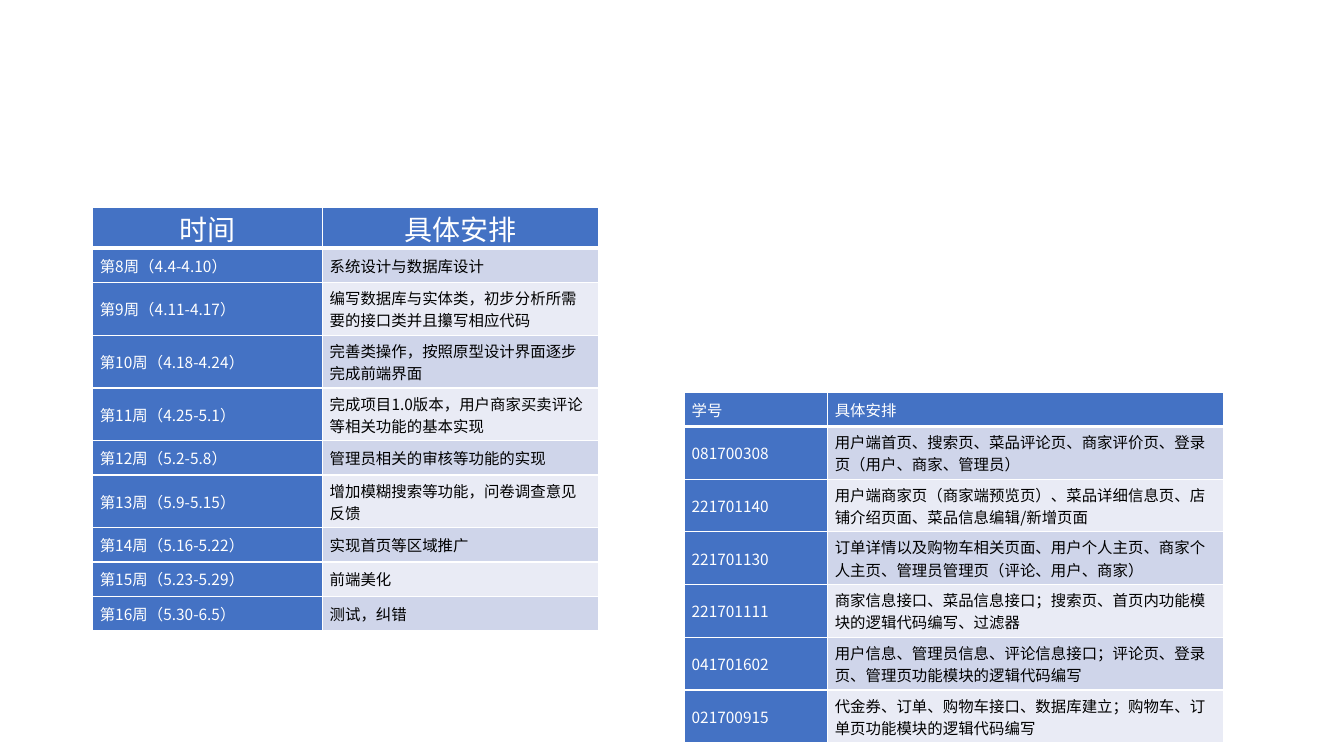
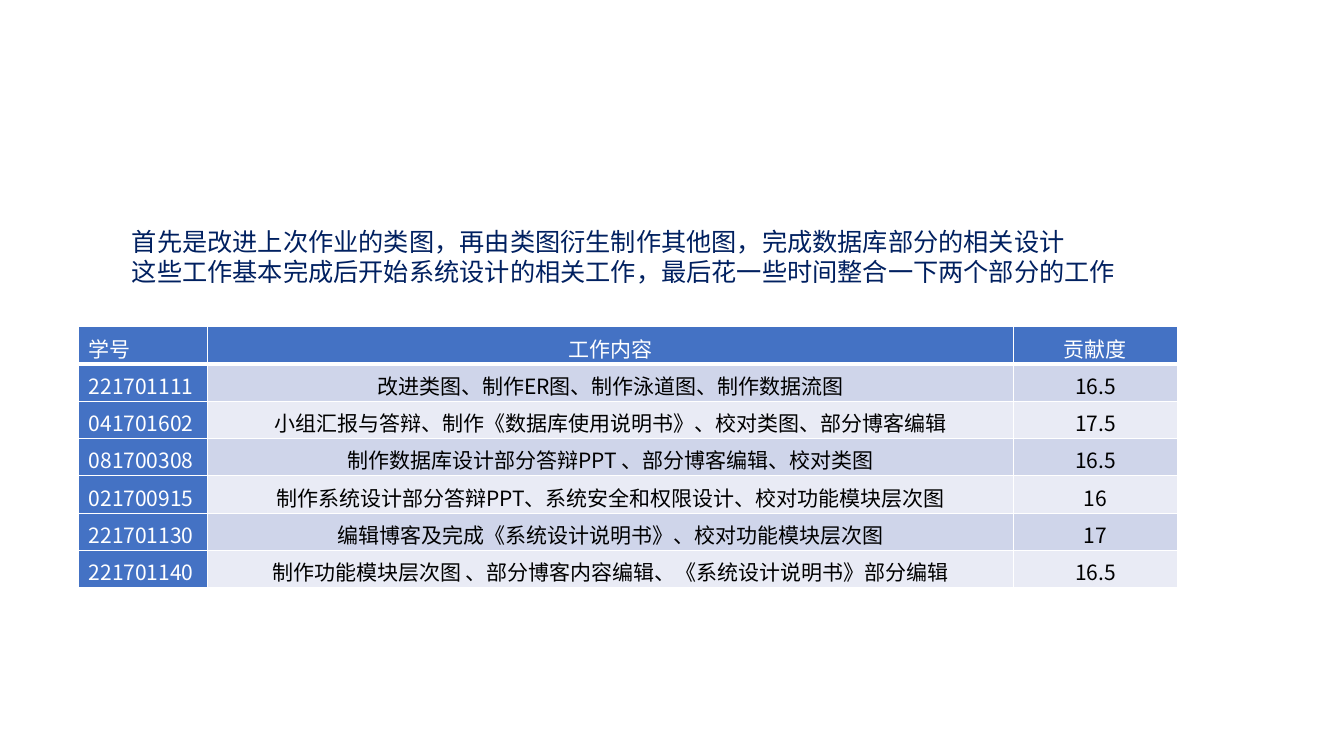
from lxml import etree
from pptx import Presentation
from pptx.dml.color import RGBColor
from pptx.enum import text
from pptx.oxml import ns
from pptx.util import Inches, Pt

# Shared look
FONT = "Noto Sans CJK SC"
WHITE = RGBColor(0xFF, 0xFF, 0xFF)
BLACK = RGBColor(0x00, 0x00, 0x00)
NAVY = RGBColor(0x00, 0x20, 0x60)
HEADER_BLUE = RGBColor(0x44, 0x72, 0xC4)
BANDS = (RGBColor(0xCF, 0xD5, 0xEA), RGBColor(0xE9, 0xEB, 0xF5))
ROW_HEIGHT = 0.34
COMPACT_INSETS = (0.07, 0.04)
ROOMY_INSETS = (0.1, 0.06)
TITLE_INSETS = (0.17, 0)
LEFT, CENTER = text.PP_ALIGN.LEFT, text.PP_ALIGN.CENTER
MIDDLE, TOP = text.MSO_ANCHOR.MIDDLE, text.MSO_ANCHOR.TOP

# Slide content
SCHEDULE = [
    ("时间", "具体安排"),
    ("第8周（4.4-4.10）", "系统设计与数据库设计"),
    ("第9周（4.11-4.17）", "编写数据库与实体类，初步分析所需要的接口类并且攥写相应代码"),
    ("第10周（4.18-4.24）", "完善类操作，按照原型设计界面逐步完成前端界面"),
    ("第11周（4.25-5.1）", "完成项目1.0版本，用户商家买卖评论等相关功能的基本实现"),
    ("第12周（5.2-5.8）", "管理员相关的审核等功能的实现"),
    ("第13周（5.9-5.15）", "增加模糊搜索等功能，问卷调查意见反馈"),
    ("第14周（5.16-5.22）", "实现首页等区域推广"),
    ("第15周（5.23-5.29）", "前端美化"),
    ("第16周（5.30-6.5）", "测试，纠错"),
]
ASSIGNMENTS = [
    ("学号", "具体安排"),
    ("081700308", "用户端首页、搜索页、菜品评论页、商家评价页、登录页（用户、商家、管理员）"),
    ("221701140", "用户端商家页（商家端预览页）、菜品详细信息页、店铺介绍页面、菜品信息编辑/新增页面"),
    ("221701130", "订单详情以及购物车相关页面、用户个人主页、商家个人主页、管理员管理页（评论、用户、商家）"),
    ("221701111", "商家信息接口、菜品信息接口；搜索页、首页内功能模块的逻辑代码编写、过滤器"),
    ("041701602", "用户信息、管理员信息、评论信息接口；评论页、登录页、管理页功能模块的逻辑代码编写"),
    ("021700915", "代金券、订单、购物车接口、数据库建立；购物车、订单页功能模块的逻辑代码编写"),
]
SUMMARY = [
    "首先是改进上次作业的类图，再由类图衍生制作其他图，完成数据库部分的相关设计",
    "这些工作基本完成后开始系统设计的相关工作，最后花一些时间整合一下两个部分的工作",
]
CONTRIBUTIONS = [
    ("学号", "工作内容", "贡献度"),
    ("221701111", "改进类图、制作ER图、制作泳道图、制作数据流图", "16.5"),
    ("041701602", "小组汇报与答辩、制作《数据库使用说明书》、校对类图、部分博客编辑", "17.5"),
    ("081700308", "制作数据库设计部分答辩PPT 、部分博客编辑、校对类图", "16.5"),
    ("021700915", "制作系统设计部分答辩PPT、系统安全和权限设计、校对功能模块层次图", "16"),
    ("221701130", "编辑博客及完成《系统设计说明书》、校对功能模块层次图", "17"),
    ("221701140", "制作功能模块层次图 、部分博客内容编辑、《系统设计说明书》部分编辑", "16.5"),
]


def add_run(paragraph, words, size, color):
    run = paragraph.add_run()
    run.text = words
    run.font.size = Pt(size)
    run.font.bold = False
    run.font.name = FONT
    run.font.color.rgb = color
    east_asian = etree.SubElement(run.font._element, ns.qn("a:ea"))
    east_asian.set("typeface", FONT)


def add_borders(cell, bottom_width):
    properties = cell._tc.get_or_add_tcPr()
    widths = {"lnL": 1, "lnR": 1, "lnT": 1, "lnB": bottom_width}
    # Border lines must come before the cell fill
    for position, (side, width) in enumerate(widths.items()):
        line = etree.Element(ns.qn(f"a:{side}"), w=str(Pt(width)))
        fill = etree.SubElement(line, ns.qn("a:solidFill"))
        etree.SubElement(fill, ns.qn("a:srgbClr"), val=str(WHITE))
        properties.insert(position, line)


def fill_cell(cell, words, size, insets, align, anchor, ink, background, bottom_width):
    cell.fill.solid()
    cell.fill.fore_color.rgb = background
    add_borders(cell, bottom_width)
    cell.margin_left = cell.margin_right = Inches(insets[0])
    cell.margin_top = cell.margin_bottom = Inches(insets[1])
    cell.vertical_anchor = anchor
    paragraph = cell.text_frame.paragraphs[0]
    paragraph.alignment = align
    add_run(paragraph, words, size, ink)


def add_banded_table(slide, left, top, widths, rows, size, insets, aligns, header=None):
    """Blue header row and first column; header overrides (size, insets, aligns, anchor)."""
    table = slide.shapes.add_table(
        len(rows), len(widths), Inches(left), Inches(top),
        Inches(sum(widths)), Inches(ROW_HEIGHT * len(rows))).table
    table.first_row = table.horz_banding = False
    for column, width in zip(table.columns, widths):
        column.width = Inches(width)
    body = (size, insets, aligns, MIDDLE)
    for r, row in enumerate(rows):
        table.rows[r].height = Inches(ROW_HEIGHT)
        row_size, row_insets, row_aligns, anchor = (header or body) if r == 0 else body
        for c, words in enumerate(row):
            is_heading = r == 0 or c == 0
            fill_cell(table.cell(r, c), words, row_size, row_insets, row_aligns[c], anchor,
                      ink=WHITE if is_heading else BLACK,
                      background=HEADER_BLUE if is_heading else BANDS[(r - 1) % 2],
                      bottom_width=3 if r == 0 else 1)


def add_summary(slide, lines):
    frame = slide.shapes.add_textbox(
        Inches(1.21), Inches(2.19), Inches(10.05), Inches(0.71)).text_frame
    frame.word_wrap = False
    frame.auto_size = text.MSO_AUTO_SIZE.SHAPE_TO_FIT_TEXT
    frame.vertical_anchor = MIDDLE
    for i, line in enumerate(lines):
        paragraph = frame.add_paragraph() if i else frame.paragraphs[0]
        add_run(paragraph, line, 18, NAVY)


def main():
    deck = Presentation()
    deck.slide_width, deck.slide_height = Inches(13.33), Inches(7.5)
    blank = deck.slide_layouts[6]

    # Schedule and assignments
    plan = deck.slides.add_slide(blank)
    add_banded_table(plan, 0.92, 2.06, (2.28, 2.74), SCHEDULE, 11, COMPACT_INSETS,
                     (LEFT, LEFT), header=(20, TITLE_INSETS, (CENTER, CENTER), TOP))
    add_banded_table(plan, 6.79, 3.89, (1.42, 3.93), ASSIGNMENTS, 11, COMPACT_INSETS,
                     (LEFT, LEFT))

    # Work summary and contributions
    work = deck.slides.add_slide(blank)
    add_summary(work, SUMMARY)
    add_banded_table(work, 0.78, 3.24, (1.28, 7.99, 1.63), CONTRIBUTIONS, 15, ROOMY_INSETS,
                     (LEFT, CENTER, CENTER))

    deck.save("out.pptx")


if __name__ == "__main__":
    main()
